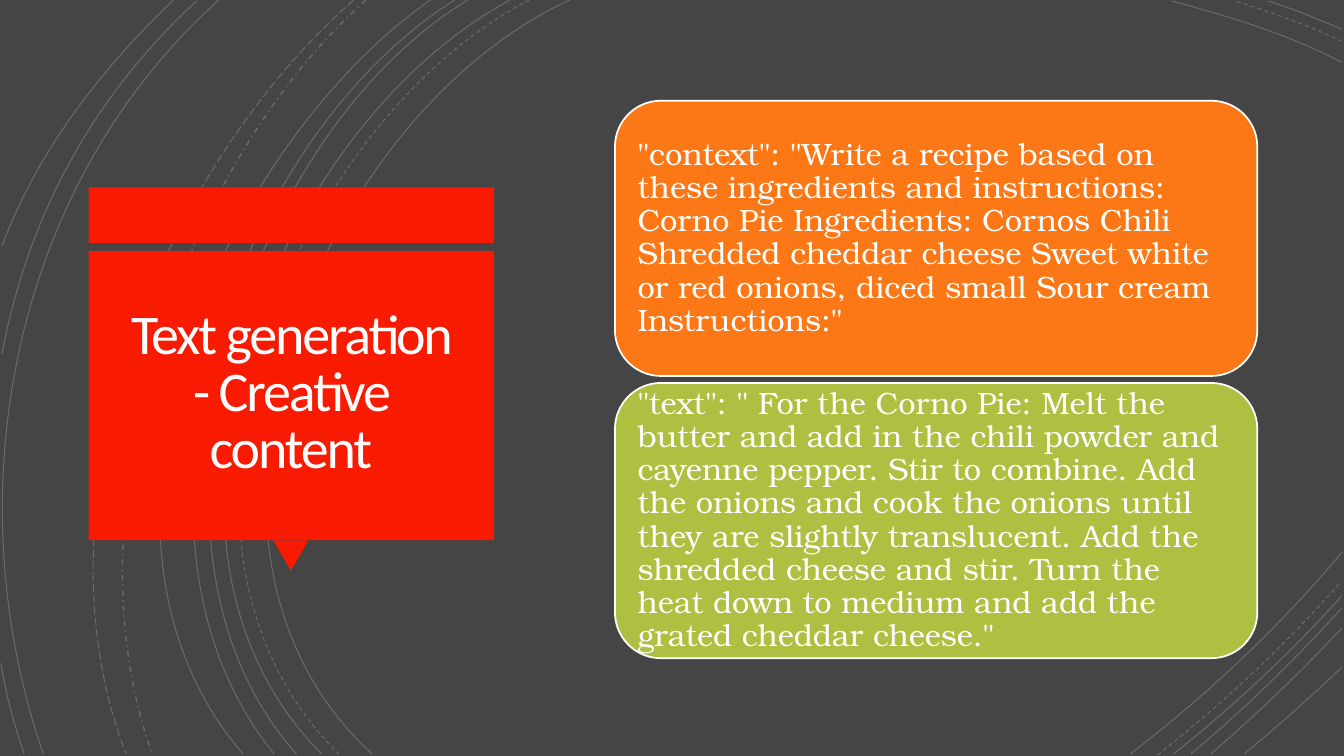
import lxml.etree
import pptx
import pptx.dml.color
import pptx.enum.dml
import pptx.enum.shapes
import pptx.enum.text
import pptx.oxml.ns
import pptx.util

Inches = pptx.util.Inches
Pt = pptx.util.Pt
RGBColor = pptx.dml.color.RGBColor
qn = pptx.oxml.ns.qn
SHAPE = pptx.enum.shapes.MSO_SHAPE
DASH = pptx.enum.dml.MSO_LINE
ALIGN = pptx.enum.text.PP_ALIGN

CHARCOAL = RGBColor(0x45, 0x45, 0x45)
RED = RGBColor(0xF8, 0x1B, 0x02)
ORANGE = RGBColor(0xFC, 0x77, 0x15)
GREEN = RGBColor(0xAF, 0xBF, 0x41)
WHITE = RGBColor(0xFF, 0xFF, 0xFF)
TITLE_WHITE = RGBColor(0xFF, 0xFE, 0xFF)

SLIDE_BOX = (0, 0, 13.33, 7.5)
TITLE_BOX = (0.88, 1.86, 4.02, 3.8)
CARDS_BOX = (6.1, 1, 6.37, 5.53)

ARCS = {
    DASH.SOLID: [
        ((5.65, 0), (3.15, 1.15), (1.43, 5.4), (3.69, 7.48)),
        ((5.06, 0), (2.7, 1.27), (1.1, 5.37), (3.19, 7.48)),
        ((4.64, 0), (2.44, 1.33), (1.1, 5.41), (2.94, 7.48)),
        ((4.51, 0), (2.31, 1.38), (0.97, 5.33), (2.72, 7.48)),
        ((4.27, 0), (2.17, 1.47), (0.53, 5.29), (2.41, 7.48)),
        ((2.17, 0), (0.11, 1.85), (-0.46, 4.9), (0.43, 7.48)),
        ((1.95, 0.01), (0.92, 0.96), (0.28, 2.14), (0.02, 3.51)),
        ((0.01, 6.58), (0.06, 6.89), (0.14, 7.19), (0.24, 7.48)),
        ((1.72, 0), (1, 0.69), (0.37, 1.5), (0.02, 2.44)),
        ((13.31, 0.62), (12.78, 0.34), (12.18, 0.16), (11.62, 0.01)),
        ((13.31, 0.29), (13.07, 0.19), (12.83, 0.09), (12.58, 0.01)),
        ((11.21, 7.48), (11.97, 6.9), (12.69, 6.22), (13.31, 5.48)),
        ((11.64, 7.48), (12.23, 7.01), (12.8, 6.48), (13.31, 5.91)),
        ((11.81, 7.48), (12.34, 7.04), (12.84, 6.55), (13.31, 6.03)),
        ((12.01, 7.48), (12.46, 7.09), (12.9, 6.67), (13.31, 6.23)),
        ((12.34, 7.48), (12.67, 7.21), (12.99, 6.92), (13.31, 6.62)),
    ],
    DASH.DASH: [
        ((5.25, 0), (2.85, 1.25), (1.23, 5.37), (3.36, 7.48)),
        ((13.31, 0.41), (12.97, 0.25), (12.6, 0.12), (12.25, 0.01)),
        ((11.48, 7.49), (12.13, 6.98), (12.75, 6.4), (13.3, 5.77)),
    ],
    DASH.DASH_DOT: [((3.63, 0), (1.76, 1.66), (0.65, 5.09), (1.51, 7.48))],
    DASH.LONG_DASH: [((3.51, 0), (1.57, 1.69), (0.29, 4.99), (1.25, 7.48))],
}

CARDS = [
    (ORANGE, '"context": "Write a recipe based on these ingredients and '
             'instructions: Corno Pie Ingredients: Cornos Chili Shredded '
             'cheddar cheese Sweet white or red onions, diced small Sour '
             'cream Instructions:"'),
    (GREEN, '"text": " For the Corno Pie: Melt the butter and add in the '
            'chili powder and cayenne pepper. Stir to combine. Add the onions '
            'and cook the onions until they are slightly translucent. Add the '
            'shredded cheese and stir. Turn the heat down to medium and add '
            'the grated cheddar cheese."'),
]


def add_curve(slide, points):
    """Add an open cubic curve through its four control points."""
    builder = slide.shapes.build_freeform(*points[0])
    builder.add_line_segments(points[1:], close=False)
    curve = builder.convert_to_shape()
    outline = curve._element.find(".//" + qn("a:path"))
    segments = outline.findall(qn("a:lnTo"))
    cubic = lxml.etree.SubElement(outline, qn("a:cubicBezTo"))
    for segment in segments:
        cubic.append(segment[0])
        outline.remove(segment)
    return curve


def add_arcs(slide, box):
    """Draw the faint background arcs inside the box."""
    left, top = box[:2]
    for dash, curves in ARCS.items():
        for controls in curves:
            arc = add_curve(slide, [(Inches(left + x), Inches(top + y))
                                    for x, y in controls])
            arc.shadow.inherit = False
            arc.fill.background()
            arc.line.color.rgb = WHITE
            arc.line.width = Pt(1 if dash == DASH.DASH_DOT else 0.75)
            arc.line.dash_style = dash
            color = arc.line._ln.find(".//" + qn("a:srgbClr"))
            lxml.etree.SubElement(color, qn("a:alpha")).set("val", "20000")


def add_block(slide, preset, box, color):
    """Add a filled shape without outline or shadow."""
    block = slide.shapes.add_shape(preset, *map(Inches, box))
    block.shadow.inherit = False
    block.fill.solid()
    block.fill.fore_color.rgb = color
    block.line.fill.background()
    return block


def set_text(frame, text, margin, spacing, align):
    """Fill a vertically centred text frame and return its run."""
    frame.word_wrap = True
    frame.auto_size = pptx.enum.text.MSO_AUTO_SIZE.NONE
    frame.vertical_anchor = pptx.enum.text.MSO_ANCHOR.MIDDLE
    frame.margin_left = frame.margin_right = Inches(margin)
    frame.margin_top = frame.margin_bottom = Inches(margin)
    paragraph = frame.paragraphs[0]
    paragraph.alignment = align
    paragraph.line_spacing = spacing
    run = paragraph.add_run()
    run.text = text
    return run


def set_font(run, name, size, color):
    """Set the typeface, size and colour of a run."""
    run.font.name = name
    run.font.size = Pt(size)
    run.font.color.rgb = color


def add_title_callout(slide, box):
    """Place the red callout and the slide title in the box."""
    left, top, width, height = box
    panel_top, panel_height = top + 0.63, 2.87
    add_block(slide, SHAPE.RECTANGLE, (left, top, width, 0.55), RED)
    pointer = add_block(slide, SHAPE.ISOSCELES_TRIANGLE,
                        (left + 1.83, top + height - 0.3, 0.35, 0.3), RED)
    pointer.rotation = 180
    add_block(slide, SHAPE.RECTANGLE, (left, panel_top, width, panel_height), RED)

    title = slide.shapes.title
    title.left, title.top = Inches(left + 0.09), Inches(panel_top + 0.08)
    title.width, title.height = Inches(width - 0.19), Inches(panel_height - 0.18)
    run = set_text(title.text_frame, "Text generation - Creative content",
                   0.25, 0.85, ALIGN.CENTER)
    set_font(run, "Calibri", 40, TITLE_WHITE)
    run._r.get_or_add_rPr().set("spc", "-150")
    slide.shapes._spTree.append(title._element)


def add_cards(slide, box, gap=0.07):
    """Stack the prompt and response cards in the box."""
    left, top, width, height = box
    card_height = (height - gap * (len(CARDS) - 1)) / len(CARDS)
    for index, (color, text) in enumerate(CARDS):
        card_top = top + index * (card_height + gap)
        card = add_block(slide, SHAPE.ROUNDED_RECTANGLE,
                         (left, card_top, width, card_height), color)
        card.line.color.rgb = WHITE
        card.line.width = Pt(1.25)
        run = set_text(card.text_frame, text, 0.09, 0.9, ALIGN.LEFT)
        set_font(run, "TeX Gyre Bonum", 22, WHITE)


def main():
    """Build and save the slide."""
    deck = pptx.Presentation()
    deck.slide_width, deck.slide_height = map(Inches, SLIDE_BOX[2:])
    slide = deck.slides.add_slide(deck.slide_layouts[5])
    slide.background.fill.solid()
    slide.background.fill.fore_color.rgb = CHARCOAL
    add_arcs(slide, SLIDE_BOX)
    add_title_callout(slide, TITLE_BOX)
    add_cards(slide, CARDS_BOX)
    deck.save("out.pptx")


if __name__ == "__main__":
    main()
